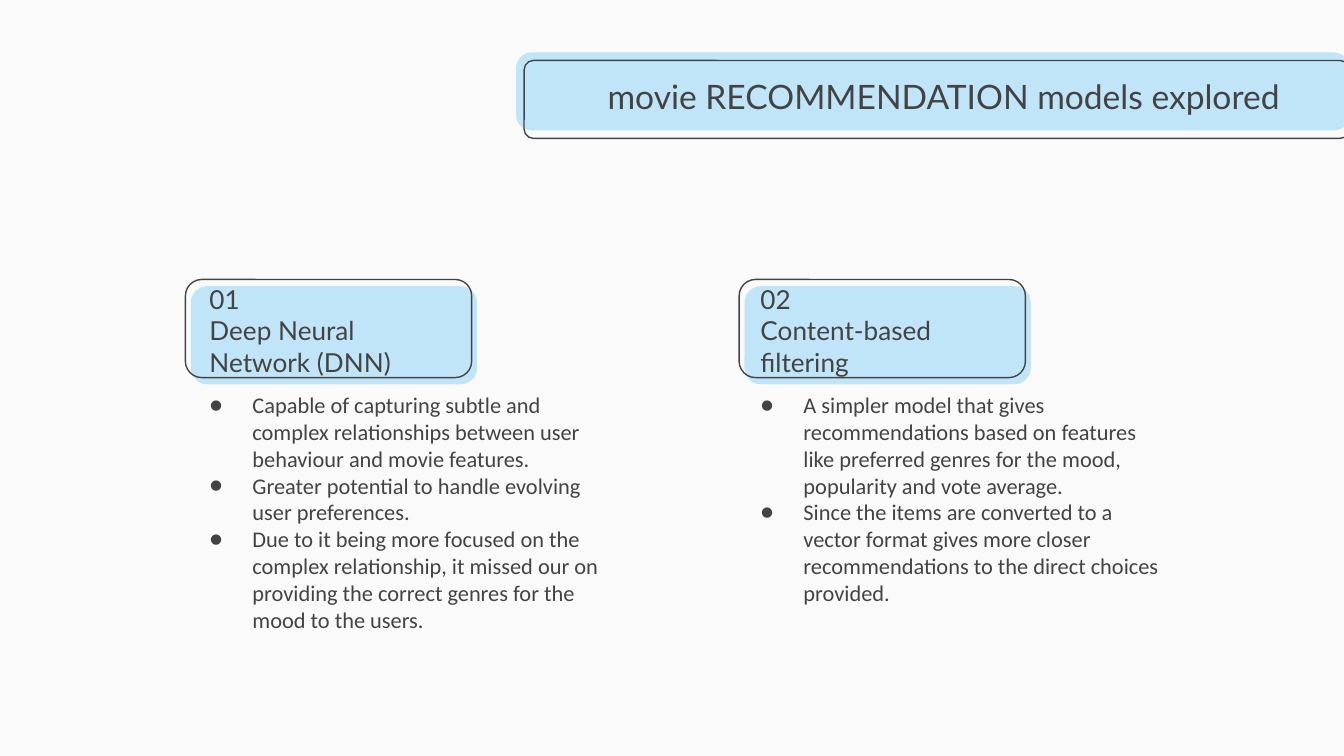
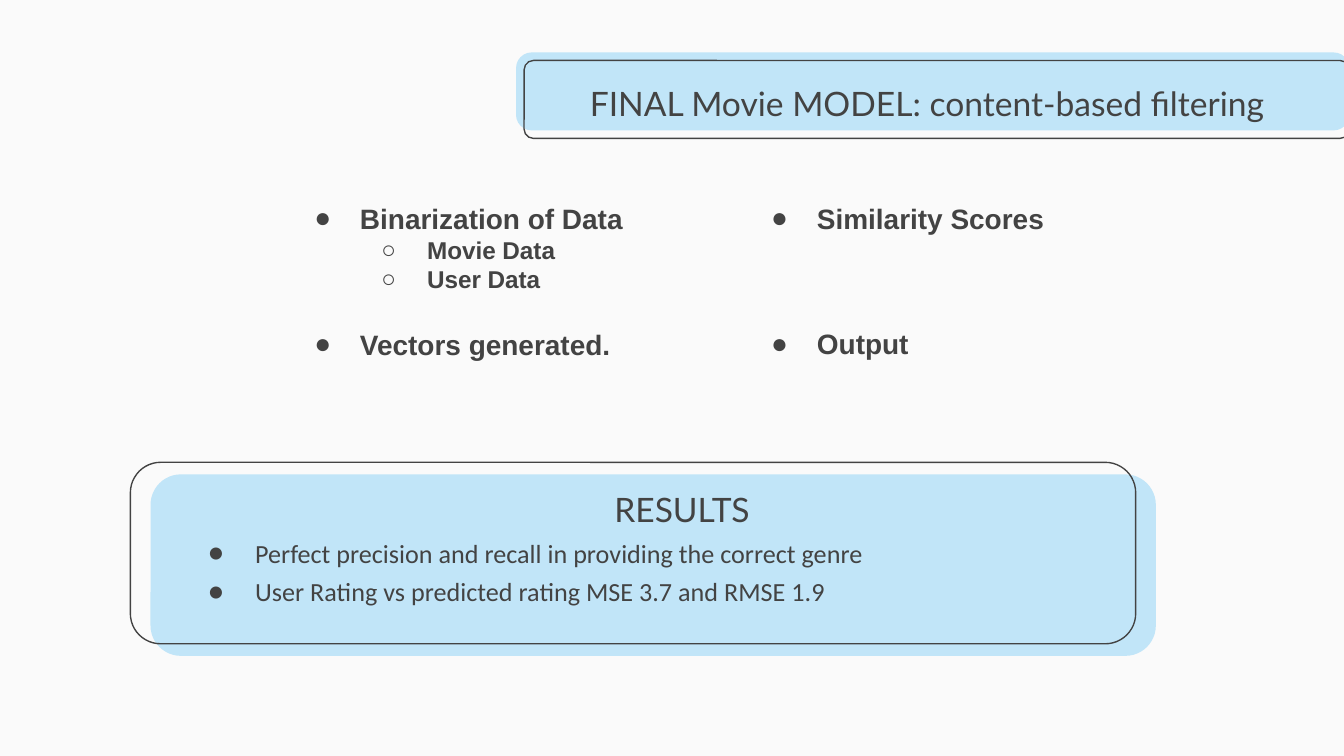
from lxml.etree import SubElement
from pptx import Presentation
from pptx.dml.color import RGBColor
from pptx.enum.shapes import MSO_SHAPE as Preset
from pptx.enum.text import MSO_ANCHOR as Anchor, MSO_AUTO_SIZE as AutoSize, PP_ALIGN as Align
from pptx.oxml.ns import qn
from pptx.util import Emu, Inches, Pt

COLORS = {"paper": "FAFAFA", "sky": "C1E5F8", "ink": "434343"}
COLUMNS, ROWS = 100, 56.25

TITLE = {"size": Pt(18), "name": "Lato"}
HEADING = {"size": Pt(14), "name": "Lato"}
BODY = {"size": Pt(12), "name": "Calibri"}
RESULT = {"size": Pt(14), "name": "Calibri"}
STEP = {"size": Pt(15), "name": "Arial", "bold": True}
SUBSTEP = {**STEP, "size": Pt(13)}


def color(name):
    return RGBColor.from_string(COLORS[name])


def assign(target, values):
    for key, value in values.items():
        setattr(target, key, value)


def bullet(text, font, indent=0.34, level=0, **spacing):
    return {"text": text, "font": font, "indent": indent, "level": level, "format": spacing}


def plain(text, font, **layout):
    return {"text": text, "font": font, "format": layout}


class Deck:
    def __init__(self):
        self.presentation = Presentation()
        assign(self.presentation, {"slide_width": Inches(10), "slide_height": Inches(5.625)})
        self.column = self.presentation.slide_width / COLUMNS
        self.row = self.presentation.slide_height / ROWS
        fill = self.presentation.slide_master.background.fill
        fill.solid()
        fill.fore_color.rgb = color("paper")
        self.slide = None

    def place(self, left, top, width, height):
        return [Emu(round(value)) for value in (
            left * self.column, top * self.row, width * self.column, height * self.row)]

    def add_slide(self, title, box, align):
        self.slide = self.presentation.slides.add_slide(self.presentation.slide_layouts[6])
        self.panel(self.slide.shapes, (38.4, 3.9, 62, 5.8), 0.2, True)
        self.panel(self.slide.shapes, (39, 4.5, 61.4, 5.8), 0.12, False)
        self.text(box, [plain(title, TITLE, alignment=align)], vertical_anchor=Anchor.MIDDLE)

    def panel(self, shapes, box, corner, filled):
        shape = shapes.add_shape(Preset.ROUNDED_RECTANGLE, *self.place(*box))
        shape.adjustments[0] = corner
        shape.shadow.inherit = False
        if filled:
            shape.fill.solid()
            shape.fill.fore_color.rgb = color("sky")
            shape.line.fill.background()
        else:
            shape.fill.background()
            shape.line.color.rgb = color("ink")
            shape.line.width = Pt(0.75)

    def card(self, left, top, width, height, shift_left, shift_up):
        shapes = self.slide.shapes.add_group_shape().shapes
        self.panel(shapes, (left, top, width, height), 0.167, True)
        self.panel(shapes, (left - shift_left, top - shift_up, width, height), 0.167, False)

    def text(self, box, items, **frame_format):
        frame = self.slide.shapes.add_textbox(*self.place(*box)).text_frame
        sides = ("left", "top", "right", "bottom")
        margins = {f"margin_{side}": Inches(0.1) for side in sides}
        assign(frame, {"word_wrap": True, "auto_size": AutoSize.NONE, **margins, **frame_format})
        for index, item in enumerate(items):
            paragraph = frame.add_paragraph() if index else frame.paragraphs[0]
            assign(paragraph, item["format"])
            run = paragraph.add_run()
            run.text = item["text"]
            assign(run.font, item["font"])
            run.font.color.rgb = color("ink")
            if "indent" in item:
                self.mark(paragraph, item)

    def mark(self, paragraph, item):
        level = item["level"]
        paragraph.level = level
        properties = paragraph._p.get_or_add_pPr()
        properties.set("marL", str(Inches(0.5 * (level + 1))))
        properties.set("indent", str(-Inches(item["indent"])))
        tint = SubElement(properties, qn("a:buClr"))
        SubElement(tint, qn("a:srgbClr"), val=COLORS["ink"])
        SubElement(properties, qn("a:buFont"), typeface=item["font"]["name"])
        SubElement(properties, qn("a:buChar"), char="●○"[level])


def models_slide(deck):
    deck.add_slide(" movie RECOMMENDATION models explored", (43, 4.5, 53.8, 5.3), Align.CENTER)
    models = [
        (14.2, (14.6, 23.8, 19.1, 5.3), (12.8, 28.1, 33.5, 21.3),
         "01", "Deep Neural Network (DNN)", [
             "Capable of capturing subtle and complex relationships between user behaviour "
             "and movie features.",
             "Greater potential to handle evolving user preferences.",
             "Due to it being more focused on the complex relationship, it missed our on "
             "providing the correct genres for the mood to the users."]),
        (55.4, (55.6, 22.8, 19.1, 6.3), (53.8, 28.1, 33.5, 10.7),
         "02", "Content-based filtering", [
             "A simpler model that gives recommendations based on features like preferred "
             "genres for the mood, popularity and vote average.",
             "Since the items are converted to a vector format gives more closer "
             "recommendations to the direct choices provided."]),
    ]
    for card_left, heading_box, body_box, number, name, points in models:
        deck.card(card_left, 21.3, 21.3, 7.3, 0.4, 0.5)
        deck.text(heading_box, [plain(line, HEADING) for line in (number, name)],
                  vertical_anchor=Anchor.BOTTOM)
        deck.text(body_box, [bullet(point, BODY, 0.32) for point in points])


def final_model_slide(deck):
    deck.add_slide("FINAL Movie MODEL: content-based filtering", (42.9, 5, 56, 5.3), Align.LEFT)
    deck.card(11.2, 35.3, 74.8, 13.5, 1.5, 0.9)
    deck.text((20.8, 12, 32.2, 19.9), [
        bullet("Binarization of Data", STEP),
        bullet("Movie Data", SUBSTEP, level=1),
        bullet("User Data", SUBSTEP, level=1),
        bullet("Vectors generated.", STEP, space_before=Pt(18)),
    ], margin_top=Inches(0.3))
    deck.text((54.8, 14, 32.2, 14.9), [
        bullet("Similarity Scores", STEP),
        bullet("Output", STEP, space_before=Pt(49)),
    ])
    deck.text((13, 35.4, 75.5, 10.9), [
        plain("RESULTS", TITLE, alignment=Align.CENTER),
        bullet("Perfect precision and recall in providing the correct genre", RESULT, 0.35,
               space_before=Pt(4)),
        bullet("User Rating vs predicted rating MSE 3.7 and RMSE 1.9", RESULT, 0.35,
               space_before=Pt(4), space_after=Pt(3)),
    ], auto_size=AutoSize.SHAPE_TO_FIT_TEXT)


def main():
    deck = Deck()
    models_slide(deck)
    final_model_slide(deck)
    deck.presentation.save("out.pptx")


if __name__ == "__main__":
    main()
